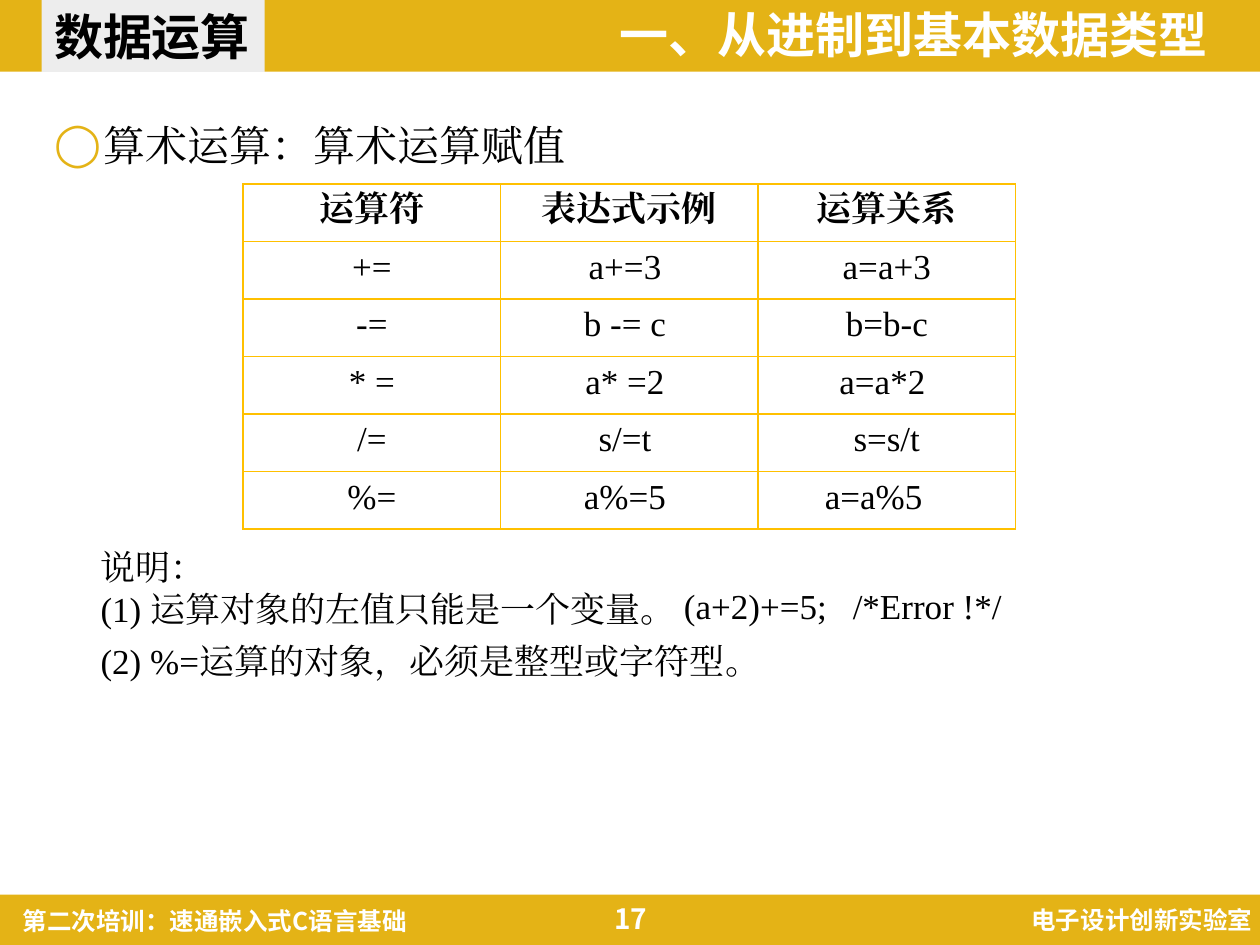
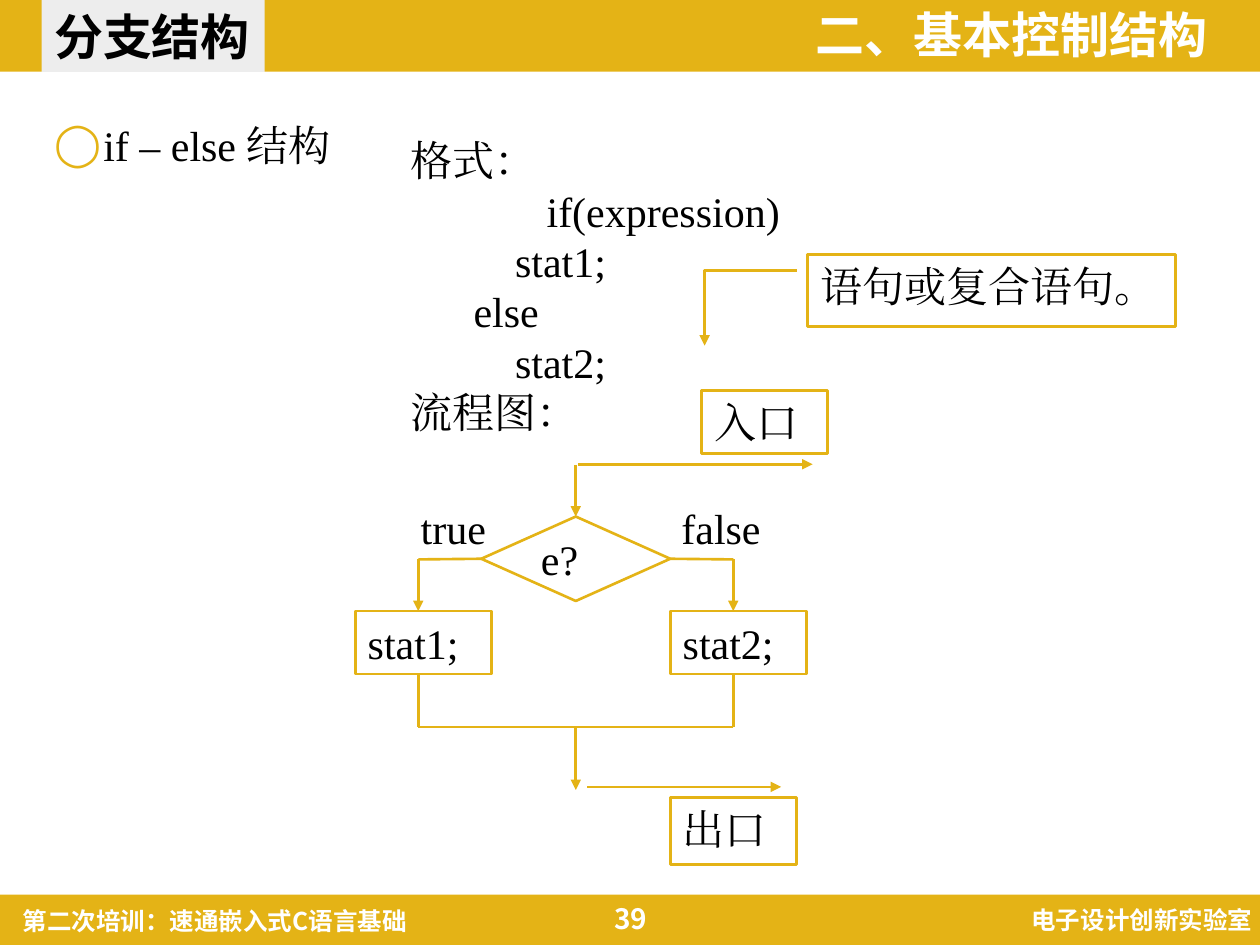
from itertools import pairwise

from lxml.etree import SubElement
from pptx import Presentation
from pptx.dml.color import RGBColor
from pptx.enum.shapes import MSO_CONNECTOR, MSO_SHAPE
from pptx.enum.text import MSO_ANCHOR, MSO_AUTO_SIZE, PP_ALIGN
from pptx.oxml.ns import qn
from pptx.util import Inches, Pt

WIDTH, HEIGHT = Inches(10), Inches(7.5)
COLS, ROWS = 100, 75
HUES = {"gold": "E4B316", "grid": "FFC000", "tab": "EDEDED",
        "ink": "000000", "white": "FFFFFF"}
SANS, SERIF = "Noto Sans CJK SC", "Times New Roman"
STYLES = {
    "head": {"name": SANS, "size": Pt(28), "bold": True, "hue": "white"},
    "tab": {"name": SANS, "size": Pt(28), "bold": True, "hue": "ink"},
    "foot": {"name": SANS, "size": Pt(14), "bold": True, "hue": "white"},
    "page": {"name": SANS, "size": Pt(16), "bold": True, "hue": "white"},
    "list": {"name": SERIF, "size": Pt(24), "bold": False, "hue": "ink"},
    "note": {"name": SERIF, "size": Pt(20), "bold": False, "hue": "ink"},
    "label": {"name": SERIF, "size": Pt(20), "bold": True, "hue": "ink"},
}
LEFT, MID, RIGHT = PP_ALIGN.LEFT, PP_ALIGN.CENTER, PP_ALIGN.RIGHT


def col(n):
    return round(WIDTH * n / COLS)


def row(n):
    return round(HEIGHT * n / ROWS)


def area(x, y, w, h):
    """Turn grid columns and rows into lengths."""
    return col(x), row(y), col(w), row(h)


def rgb(hue):
    return RGBColor.from_string(HUES[hue])


def write(para, text, style, align=LEFT):
    para.alignment = align
    run = para.add_run()
    run.text = text
    for key, value in STYLES[style].items():
        if key == "hue":
            run.font.color.rgb = rgb(value)
        else:
            setattr(run.font, key, value)
    SubElement(run.font._element, qn("a:ea"), typeface=STYLES[style]["name"])


def fill_text(frame, lines, style, align=LEFT, wrap=True, anchor=MSO_ANCHOR.TOP):
    form = {"word_wrap": wrap, "auto_size": MSO_AUTO_SIZE.NONE,
            "vertical_anchor": anchor}
    for key, value in form.items():
        setattr(frame, key, value)
    for i, line in enumerate(lines):
        para = frame.add_paragraph() if i else frame.paragraphs[0]
        write(para, line, style, align)
    return frame


def add_text(slide, box, lines, style, **form):
    shape = slide.shapes.add_textbox(*area(*box))
    return fill_text(shape.text_frame, lines, style, **form)


def indent(para, left, first=0):
    props = para._p.get_or_add_pPr()
    props.set("marL", str(col(left)))
    props.set("indent", str(col(first)))
    return props


def set_tab(para, stop):
    tabs = SubElement(para._p.get_or_add_pPr(), qn("a:tabLst"))
    SubElement(tabs, qn("a:tab"), pos=str(col(stop)), algn="l")


def add_band(slide, box):
    band = slide.shapes.add_shape(MSO_SHAPE.RECTANGLE, *area(*box))
    band.shadow.inherit = False
    band.fill.solid()
    band.fill.fore_color.rgb = rgb("gold")
    band.line.fill.background()


def place(holder, box):
    for key, value in zip(("left", "top", "width", "height"), area(*box)):
        setattr(holder, key, value)
    return holder.text_frame


def add_slide(deck, head, topic, item, page, size):
    """Add a slide with bands, headings, footer and one list item."""
    slide = deck.slides.add_slide(deck.slide_layouts[3])
    title, body, tab = slide.placeholders
    add_band(slide, (0, 71, 100, 4))
    add_band(slide, (0, 0, 100, 5.7))
    for holder in (title, tab, body):
        slide.shapes._spTree.append(holder._element)

    frame = place(title, (43.9, 0.7, 52.9, 4.6))
    fill_text(frame, [head], "head", RIGHT, anchor=MSO_ANCHOR.MIDDLE)
    frame.paragraphs[0].line_spacing = 0.9

    frame = place(tab, (3.3, 0, 17.7, 5.7))
    tab.fill.solid()
    tab.fill.fore_color.rgb = rgb("tab")
    fill_text(frame, [topic], "tab", wrap=False, anchor=MSO_ANCHOR.MIDDLE)
    para = frame.paragraphs[0]
    SubElement(indent(para, 0), qn("a:buNone"))
    para.space_before = Pt(0)

    frame = place(body, (3.3, 8.5, *size))
    fill_text(frame, [item], "list")
    para = frame.paragraphs[0]
    props = indent(para, 3.9, -3.9)
    mark = SubElement(props, qn("a:buClr"))
    SubElement(mark, qn("a:srgbClr"), val=HUES["gold"])
    SubElement(props, qn("a:buChar"), char="◯")
    para.line_spacing, para.space_before = Pt(32), Pt(0)

    add_text(slide, (69, 71.3, 31.4, 3.4), ["电子设计创新实验室"], "foot", align=RIGHT)
    add_text(slide, (0.8, 71.4, 39.9, 3.4), ["第二次培训：速通嵌入式C语言基础"], "foot")
    add_text(slide, (43.9, 70.9, 12.3, 4), [str(page)], "page", align=MID,
             anchor=MSO_ANCHOR.MIDDLE)
    return slide


def edge(cell):
    """Draw the four borders of a cell."""
    props = cell._tc.get_or_add_tcPr()
    for i, side in enumerate(("lnL", "lnR", "lnT", "lnB")):
        line = props.makeelement(qn(f"a:{side}"), {"w": str(Pt(1))})
        fill = SubElement(line, qn("a:solidFill"))
        SubElement(fill, qn("a:srgbClr"), val=HUES["grid"])
        props.insert(i, line)


def add_grid(slide, box, rows):
    table = slide.shapes.add_table(len(rows), len(rows[0]), *area(*box)).table
    table.first_row = table.horz_banding = False
    for r, texts in enumerate(rows):
        for c, text in enumerate(texts):
            cell = table.cell(r, c)
            cell.fill.background()
            edge(cell)
            write(cell.text_frame.paragraphs[0], text,
                  "note" if r else "label", MID)
    return table


def ink_line(line, end=None):
    """Draw a gold line, with an arrowhead at headEnd or tailEnd."""
    line.color.rgb = rgb("gold")
    line.width = Pt(1.5)
    if end:
        SubElement(line._get_or_add_ln(), qn(f"a:{end}"), type="triangle")


def add_box(slide, kind, box, text, adjust=(), end=None, **form):
    shape = slide.shapes.add_shape(kind, *area(*box))
    shape.shadow.inherit = False
    shape.fill.background()
    for i, value in enumerate(adjust):
        shape.adjustments[i] = value
    ink_line(shape.line, end)
    fill_text(shape.text_frame, [text], "list", **form)
    return shape


def add_route(slide, points, arrow=False, start=None, stop=None):
    """Join points by straight legs; start and stop are (shape, side)."""
    legs = list(pairwise(points))
    for i, ((x1, y1), (x2, y2)) in enumerate(legs):
        last = i == len(legs) - 1
        leg = slide.shapes.add_connector(
            MSO_CONNECTOR.STRAIGHT, col(x1), row(y1), col(x2), row(y2))
        ink_line(leg.line, "tailEnd" if arrow and last else None)
        SubElement(leg._element.spPr, qn("a:effectLst"))
        if start and i == 0:
            leg.begin_connect(*start)
        if stop and last:
            leg.end_connect(*stop)


def add_maths(deck):
    slide = add_slide(deck, "一、从进制到基本数据类型", "数据运算",
                      "算术运算：算术运算赋值", 17, (93.5, 60.5))
    table = add_grid(slide, (19.3, 14.6, 61.3, 27.4), [
        ("运算符", "表达式示例", "运算关系"),
        ("+=", "a+=3 ", "a=a+3"),
        ("-=", "b -= c ", "b=b-c"),
        ("* =", "a* =2 ", "a=a*2 "),
        ("/=", "s/=t ", "s=s/t"),
        ("%=", "a%=5 ", "a=a%5"),
    ])
    table.cell(5, 2).margin_right = col(3.1)
    add_text(slide, (7, 42.8, 48, 7.8),
             ["说明：", "(1) 运算对象的左值只能是一个变量。"], "note", wrap=False)
    code = add_text(slide, (53.3, 45.9, 27.4, 4.4),
                    ["(a+2)+=5;\t/*Error !*/"], "note", wrap=False)
    set_tab(code.paragraphs[0], 13.4)
    add_text(slide, (7, 50.3, 54.7, 4.4),
             ["(2) %=运算的对象，必须是整型或字符型。"], "note", wrap=False)


def add_branch(deck):
    slide = add_slide(deck, "二、基本控制结构", "分支结构",
                      "if – else 结构", 39, (36.3, 5.7))
    code = add_text(slide, (31.6, 10.2, 31.5, 21.2),
                    ["格式：", "if(expression)", "stat1;", "else", "stat2;"],
                    "list", wrap=False)
    for para, left in zip(code.paragraphs, (0, 10.8, 8.3, 5, 8.3)):
        indent(para, left)
    add_box(slide, MSO_SHAPE.LINE_CALLOUT_2, (64.1, 20.2, 29.2, 5.7),
            "语句或复合语句。", (0.22, -0.03, 0.22, -0.28, 1.27, -0.28), "tailEnd")

    labels = {"流程图：": (31.6, 30.2, 15.5), "true": (32.4, 39.4, 7.2),
              "false": (53.1, 39.4, 8.5)}
    for text, (x, y, w) in labels.items():
        add_text(slide, (x, y, w, 5.1), [text], "list", wrap=False)

    axis, arm = 45.7, 12.5
    form = {"wrap": False, "anchor": MSO_ANCHOR.MIDDLE}
    test = add_box(slide, MSO_SHAPE.FLOWCHART_DECISION,
                   (axis - 7.5, 41, 15, 6.7), "e?", **form)
    add_route(slide, [(axis, 36.9), (axis, 41)], True, stop=(test, 0))
    for text, sign, side in (("stat1;", -1, 1), ("stat2;", 1, 3)):
        x = axis + sign * arm
        add_box(slide, MSO_SHAPE.FLOWCHART_PROCESS, (x - 5, 48.5, 10.8, 5),
                text, **form)
        add_route(slide, [(axis + sign * 7.5, 44.4), (x, 44.4), (x, 48.5)],
                  True, start=(test, side))
        add_route(slide, [(x, 53.5), (x, 57.7), (axis, 57.7)])
    add_route(slide, [(axis, 57.7), (axis, 62.7)], True)

    for text, box, adjust in (
            ("入口", (55.7, 31, 10, 5), (1.17, 0.88, 1.17, -0.98)),
            ("出口", (53.2, 63.3, 10, 5.3), (-0.16, 0.88, -0.16, -0.66))):
        add_box(slide, MSO_SHAPE.LINE_CALLOUT_1, box, text, adjust, "headEnd")


def main():
    deck = Presentation()
    deck.slide_width, deck.slide_height = WIDTH, HEIGHT
    add_maths(deck)
    add_branch(deck)
    deck.save("out.pptx")


if __name__ == "__main__":
    main()
